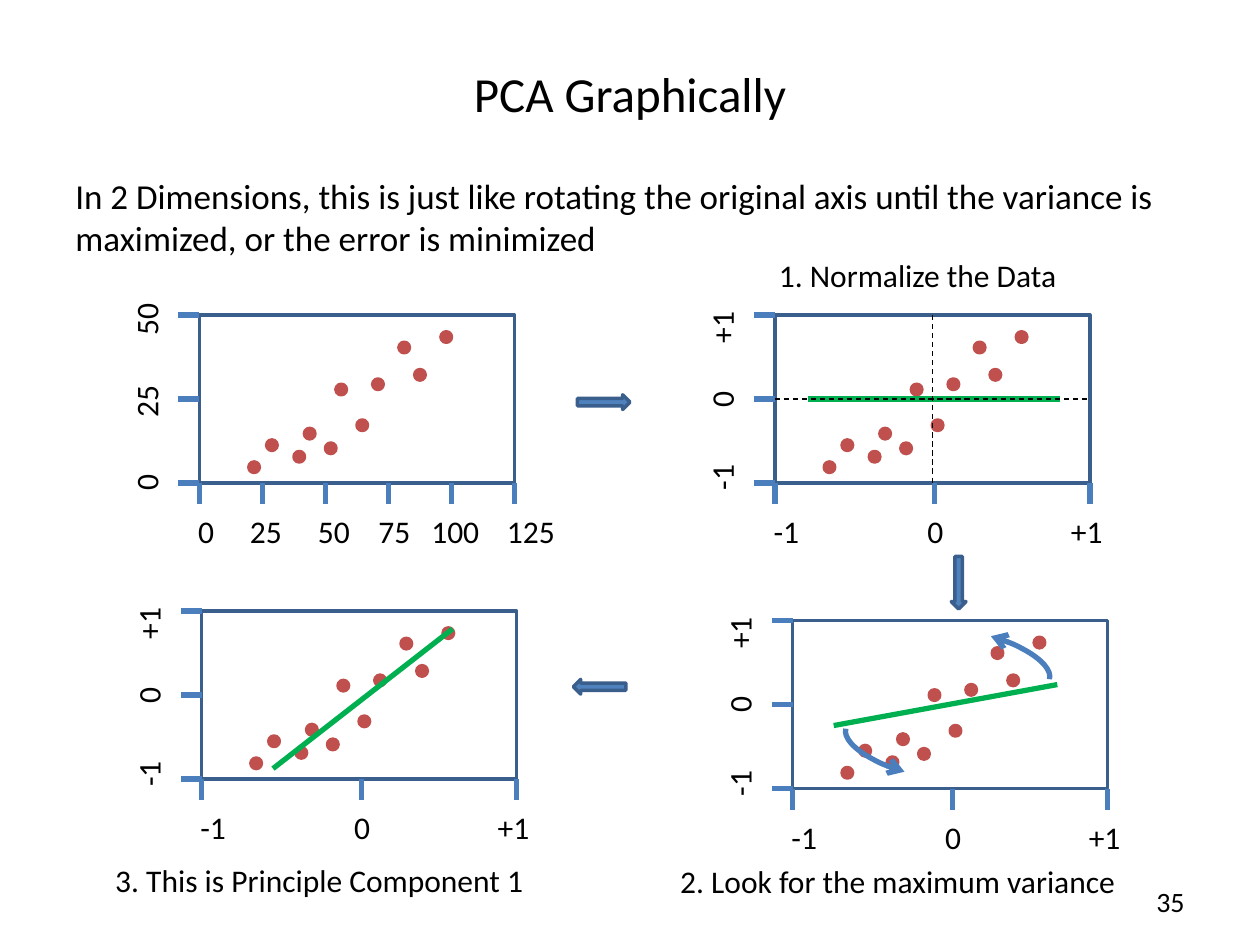
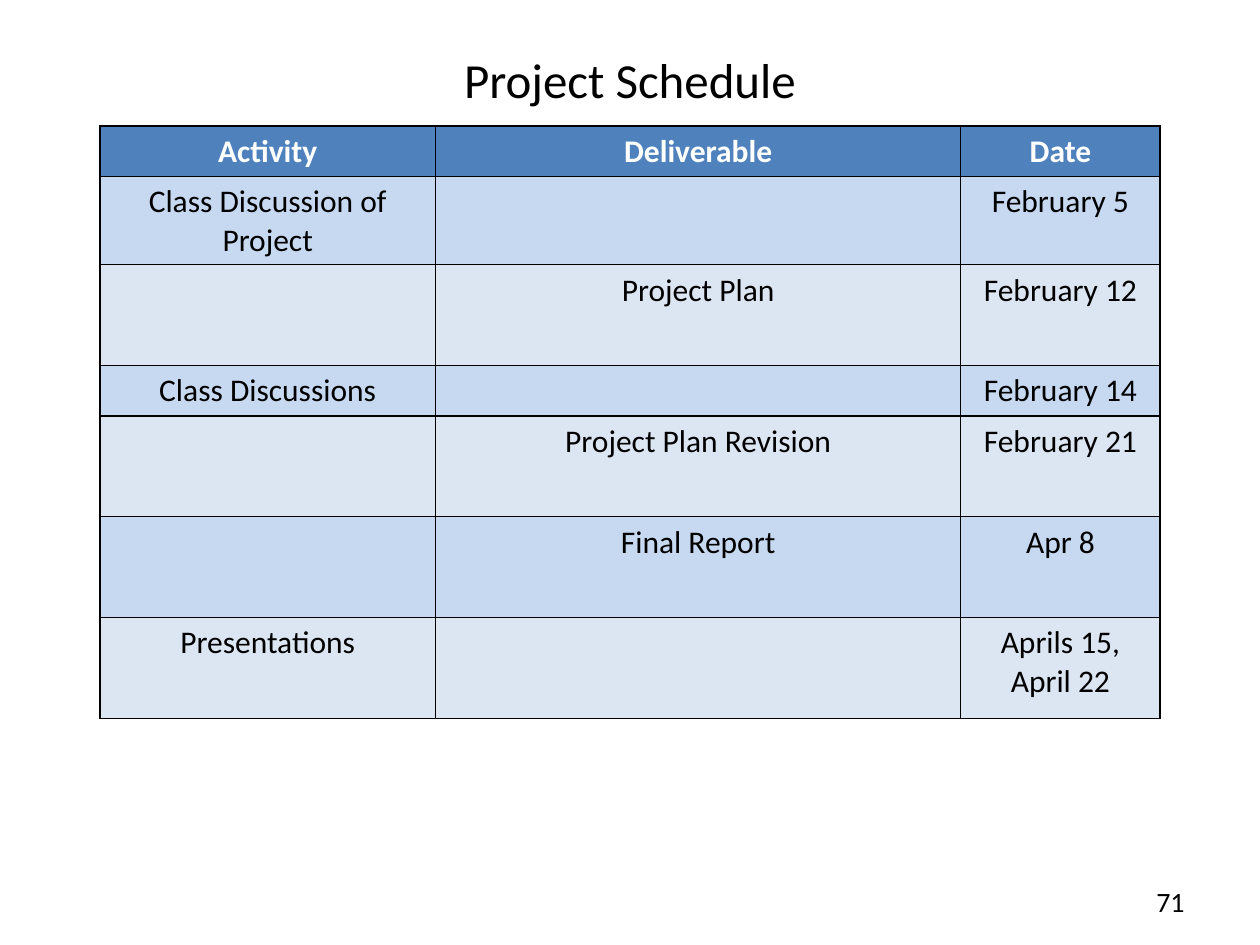
"""Two slides on a grid of 120 columns by 90 rows (twelve cells to the inch)."""
from dataclasses import dataclass
from typing import Any, NamedTuple, Optional

import pptx
import pptx.dml.color
import pptx.enum.dml
import pptx.enum.shapes
import pptx.enum.text
import pptx.oxml.ns
import pptx.oxml.xmlchemy
import pptx.util
from lxml import etree

COLUMNS, ROWS = 120, 90
FONT = "Calibri"
BLACK, WHITE = "000000", "FFFFFF"
FRAME, TICK, BLUE, RED, GREEN = "3A5F8C", "4B7EBC", "4F81BD", "C0504D", "00B050"
BANDS = ("DCE6F2", "C6D9F1")

SHAPE = pptx.enum.shapes.MSO_SHAPE
ALIGN = pptx.enum.text.PP_ALIGN
ANCHOR = pptx.enum.text.MSO_ANCHOR
qn = pptx.oxml.ns.qn


class Box(NamedTuple):
    left: float
    top: float
    width: float
    height: float


class Axis(NamedTuple):
    labels: tuple[str, ...]
    ticks: tuple[float, ...]
    tabs: tuple[float, ...]  # inches from the first label


@dataclass(frozen=True)
class Panel:
    left: float
    top: float
    across: Axis
    upward: Axis


class Turned(NamedTuple):
    box: Box
    rotation: int
    flip: str = ""


class Segment(NamedTuple):
    start: tuple[float, float]
    end: tuple[float, float]


class Caption(NamedTuple):
    text: str
    box: Box


PLOT_W, PLOT_H, TICK_LENGTH = 30, 16, 2
Y_TICKS = (16, 8, 0)
RAW_X = Axis(("0", "25", "50", "75", "100", "125"), tuple(range(0, 31, 6)),
             (0.41, 0.95, 1.43, 1.85, 2.45))
RAW_Y = Axis(("0", "25", "50"), Y_TICKS, (0.58, 1.23))
UNIT_X = Axis(("-1", "0", "+1"), (0, 15.2, 30), (1.22, 2.36))
UNIT_Y = Axis(("-1", "0", "+1"), Y_TICKS, (0.66, 1.17))

RAW = Panel(19, 30, RAW_X, RAW_Y)
NORMALIZED = Panel(73.8, 30, UNIT_X, UNIT_Y)
ROTATING = Panel(75.5, 59.1, UNIT_X, UNIT_Y)
COMPONENT = Panel(19.2, 58.2, UNIT_X, UNIT_Y)

OBSERVATIONS = ((9, 13), (10, 10.8), (12, 12.2), (15, 10), (13, 6.6), (6.4, 11.9),
                (16.5, 6.1), (20.5, 5.2), (4.7, 14), (19, 2.6), (23, 1.6))
STEP_ARROWS = (Turned(Box(55, 37.6, 5, 1.4), 0),
               Turned(Box(88.8, 54.8, 5, 1.4), 90),
               Turned(Box(54.6, 64.7, 5, 1.4), 180))
DIRECTIONS = (Segment((79.4, 69.1), (100.7, 65.2)),
              Segment((77, 38), (101, 38)),
              Segment((26, 73.2), (43.1, 59.9)))
SWINGS = (Turned(Box(91.3, 56.4, 4.8, 13), 286, "flipV"),
          Turned(Box(84.4, 64.7, 4.8, 13), 286, "flipH"))
CAPTIONS = (Caption("1. Normalize the Data", Box(73, 23.8, 29.2, 4.8)),
            Caption("2. Look for the maximum variance", Box(63.6, 81.5, 44.3, 4.8)),
            Caption("3. This is Principle Component 1", Box(9.8, 81.4, 41.8, 4.8)))

SCHEDULE = (("Activity", "Deliverable", "Date"),
            ("Class Discussion of Project", "", "February 5"),
            ("", "Project Plan", "February 12"),
            ("Class Discussions", "", "February 14"),
            ("", "Project Plan Revision", "February 21"),
            ("", "Final Report", "Apr 8"),
            ("Presentations", "", "Aprils 15, April 22"))
SCHEDULE_COLUMNS = (32, 50, 19)
SCHEDULE_ROWS = (4.8, 7.2, 9.6, 4.8, 9.6, 9.6, 9.6)


def cells(count: float) -> pptx.util.Emu:
    return pptx.util.Emu(round(count * pptx.util.Inches(1) / 12))


def rgb(value: str) -> pptx.dml.color.RGBColor:
    return pptx.dml.color.RGBColor.from_string(value)


def set_all(target: Any, formats: dict[str, Any]) -> None:
    for name, value in formats.items():
        setattr(target, name, value)


def paint(fill: Any, color: str) -> None:
    fill.solid()
    fill.fore_color.rgb = rgb(color)


def outline(line: Any, color: str, width: float) -> None:
    paint(line.fill, color)
    line.width = pptx.util.Pt(width)


def write(paragraph: Any, text: str, size: float, color: str = BLACK,
          bold: bool = False) -> None:
    run = paragraph.add_run()
    run.text = text
    set_all(run.font, {"name": FONT, "size": pptx.util.Pt(size), "bold": bold})
    run.font.color.rgb = rgb(color)


def add_text(slide: Any, text: str, box: Box, size: float = 18, align: Any = ALIGN.LEFT,
             anchor: Any = ANCHOR.TOP, wrap: bool = True,
             tabs: tuple[float, ...] = ()) -> Any:
    area = slide.shapes.add_textbox(*map(cells, box))
    set_all(area.text_frame, {"word_wrap": wrap, "vertical_anchor": anchor})
    paragraph = area.text_frame.paragraphs[0]
    paragraph.alignment = align
    if tabs:
        stops = etree.SubElement(paragraph._p.get_or_add_pPr(), qn("a:tabLst"))
        for stop in tabs:
            etree.SubElement(stops, qn("a:tab"), pos=str(pptx.util.Inches(stop)), algn="l")
    write(paragraph, text, size)
    return area


def add_preset(slide: Any, preset: Any, box: Box, line: str, width: float = 2,
               fill: Optional[str] = None, rotation: float = 0) -> Any:
    shape = slide.shapes.add_shape(preset, *map(cells, box))
    shape.shadow.inherit = False
    shape.rotation = rotation
    if fill:
        paint(shape.fill, fill)
    else:
        shape.fill.background()
    outline(shape.line, line, width)
    return shape


def add_line(slide: Any, segment: Segment, color: str, width: float = 3) -> Any:
    line = slide.shapes.add_connector(pptx.enum.shapes.MSO_CONNECTOR.STRAIGHT,
                                      *map(cells, segment.start + segment.end))
    outline(line.line, color, width)
    etree.SubElement(line._element.spPr, qn("a:effectLst"))
    return line


def add_panel(slide: Any, panel: Panel) -> Any:
    """Draw a scatter frame with its dots, ticks and labels; return the frame."""
    left, top = panel.left, panel.top
    frame = add_preset(slide, SHAPE.RECTANGLE, Box(left, top, PLOT_W, PLOT_H), FRAME)
    for x, y in OBSERVATIONS:
        add_preset(slide, SHAPE.OVAL, Box(left + x, top + y, 1, 1), RED, fill=RED)
    floor = top + PLOT_H
    for x in panel.across.ticks:
        add_line(slide, Segment((left + x, floor), (left + x, floor + TICK_LENGTH)), TICK)
    for y in panel.upward.ticks:
        tick = add_line(slide, Segment((left, top + y), (left - TICK_LENGTH, top + y)), TICK)
        if y == PLOT_H / 2:
            tick.begin_connect(frame, 1)
    add_text(slide, "\t".join(panel.across.labels), Box(left - 1.3, top + 18.2, 40.3, 4.8),
             tabs=panel.across.tabs)
    upward = add_text(slide, "\t".join(panel.upward.labels),
                      Box(left - 15.6, top + 5, 21, 4.8), tabs=panel.upward.tabs)
    upward.rotation = 270
    return frame


def add_swing(slide: Any, swing: Turned) -> None:
    """Draw a curved arrow showing which way the axis turns."""
    arc = add_preset(slide, SHAPE.ARC, swing.box, TICK, 3, rotation=swing.rotation)
    arc._element.spPr.find(qn("a:xfrm")).set(swing.flip, "1")
    etree.SubElement(arc.line._get_or_add_ln(), qn("a:tailEnd"), type="arrow")


def add_center_line(slide: Any, frame: Any, first_side: int, last_side: int) -> None:
    line = add_line(slide, Segment((0, 0), (1, 1)), BLACK, 0.75)
    line.begin_connect(frame, first_side)
    line.end_connect(frame, last_side)
    line.line.dash_style = pptx.enum.dml.MSO_LINE.DASH


def add_borders(cell: Any) -> None:
    properties = cell._tc.get_or_add_tcPr()
    for position, side in enumerate(("a:lnL", "a:lnR", "a:lnT", "a:lnB")):
        border = etree.Element(qn(side), w=str(pptx.util.Pt(1)))
        fill = etree.SubElement(border, qn("a:solidFill"))
        etree.SubElement(fill, qn("a:srgbClr"), val=BLACK)
        properties.insert(position, border)


def new_slide(deck: Any, title: str, title_box: Box, number: int) -> Any:
    slide = deck.slides.add_slide(deck.slide_layouts[6])
    add_text(slide, title, title_box, 28, ALIGN.CENTER, ANCHOR.MIDDLE)
    add_text(slide, str(number), Box(86, 83.4, 28, 4.8), 16, ALIGN.RIGHT, ANCHOR.MIDDLE)
    return slide


def build_pca(deck: Any) -> None:
    slide = new_slide(deck, "PCA Graphically", Box(6, 3.6, 108, 10.4), 35)
    add_text(slide, "In 2 Dimensions, this is just like rotating the original axis until "
             "the variance is maximized, or the error is minimized",
             Box(6, 16, 108, 64.4), 20)
    add_panel(slide, RAW)
    normalized = add_panel(slide, NORMALIZED)
    add_panel(slide, ROTATING)
    add_panel(slide, COMPONENT)
    for arrow in STEP_ARROWS:
        add_preset(slide, SHAPE.RIGHT_ARROW, arrow.box, FRAME, fill=BLUE,
                   rotation=arrow.rotation)
    for direction in DIRECTIONS:
        add_line(slide, direction, GREEN)
    for swing in SWINGS:
        add_swing(slide, swing)
    for caption in CAPTIONS:
        add_text(slide, caption.text, caption.box, wrap=False)
    add_center_line(slide, normalized, 0, 2)
    add_center_line(slide, normalized, 1, 3)


def build_schedule(deck: Any) -> None:
    slide = new_slide(deck, "Project Schedule", Box(6, 0, 108, 15), 71)
    box = Box(9.5, 12, sum(SCHEDULE_COLUMNS), sum(SCHEDULE_ROWS))
    table = slide.shapes.add_table(len(SCHEDULE_ROWS), len(SCHEDULE_COLUMNS),
                                   *map(cells, box)).table
    for column, width in zip(table.columns, SCHEDULE_COLUMNS):
        column.width = cells(width)
    for index, (row, height) in enumerate(zip(table.rows, SCHEDULE_ROWS)):
        row.height = cells(height)
        header = index == 0
        for cell, text in zip(row.cells, SCHEDULE[index]):
            paint(cell.fill, BLUE if header else BANDS[index % 2])
            add_borders(cell)
            if text:
                paragraph = cell.text_frame.paragraphs[0]
                paragraph.alignment = ALIGN.CENTER
                write(paragraph, text, 18, WHITE if header else BLACK, header)


def main() -> None:
    deck = pptx.Presentation()
    set_all(deck, {"slide_width": cells(COLUMNS), "slide_height": cells(ROWS)})
    build_pca(deck)
    build_schedule(deck)
    deck.save("out.pptx")


if __name__ == "__main__":
    main()
